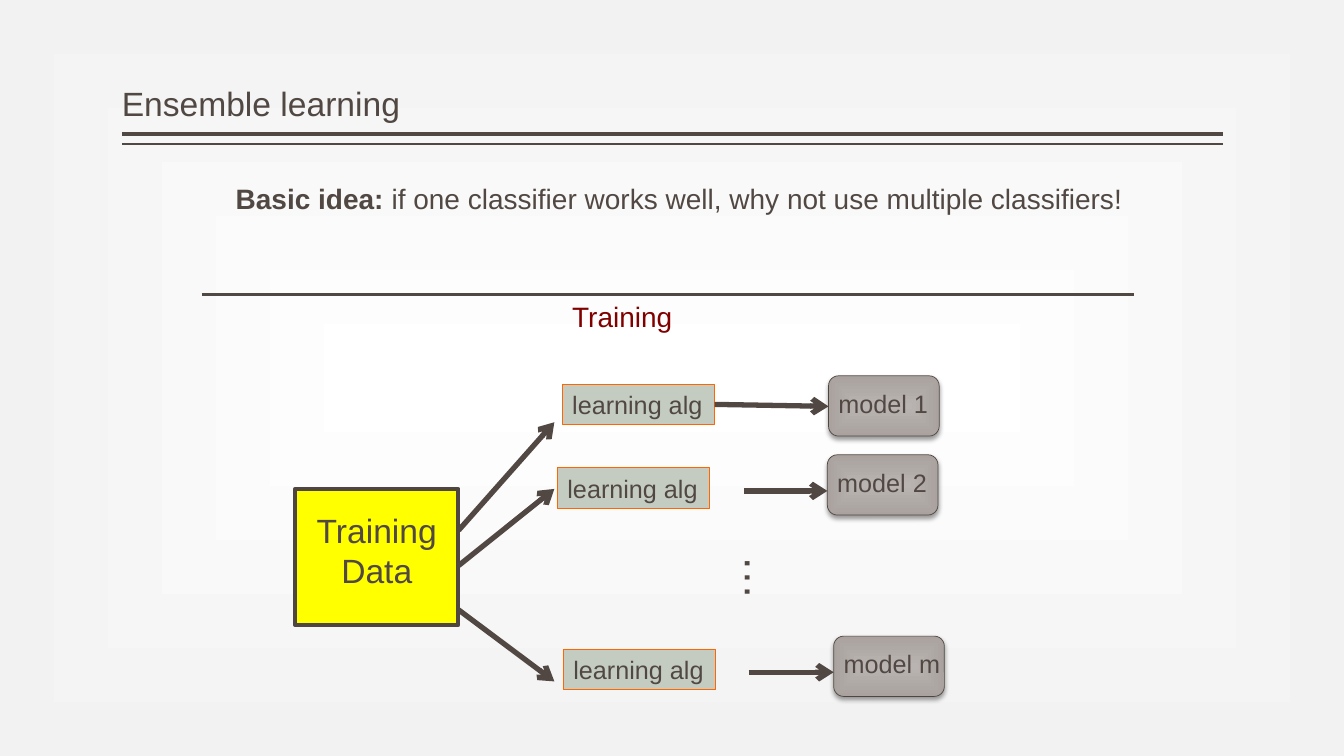
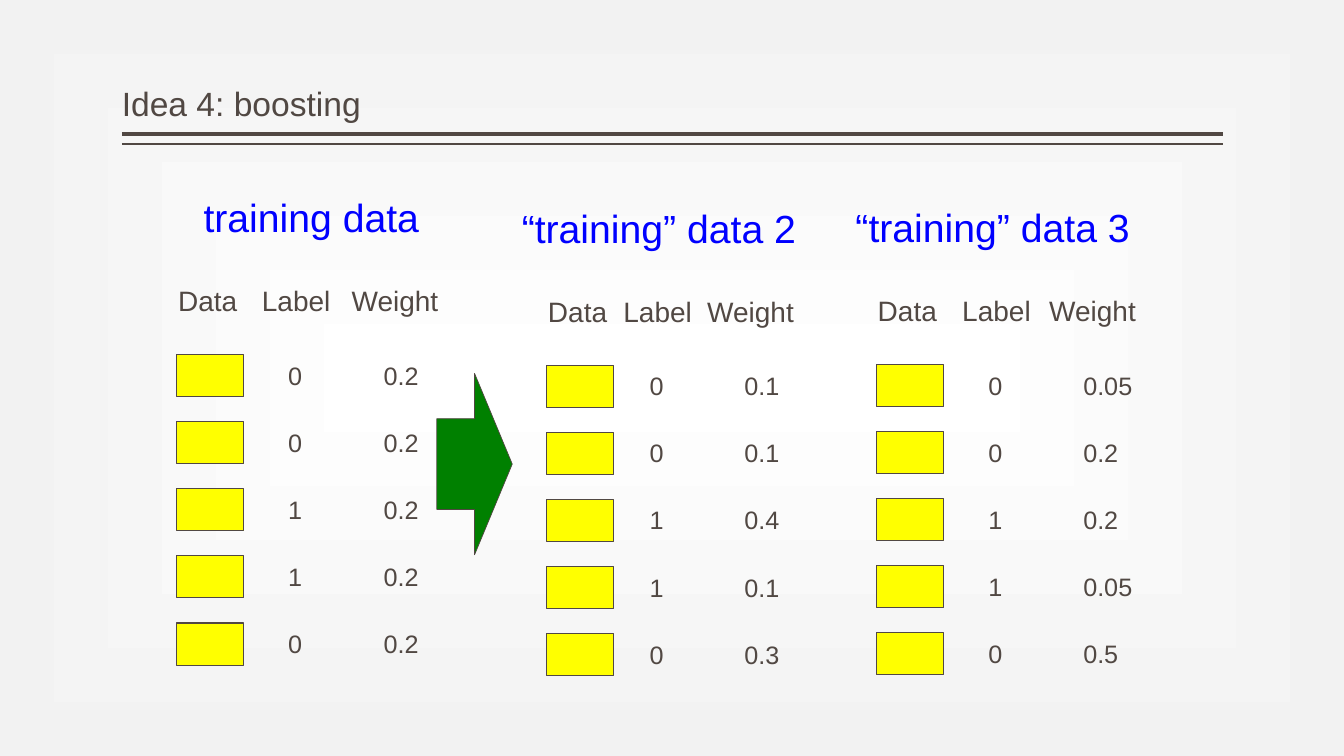
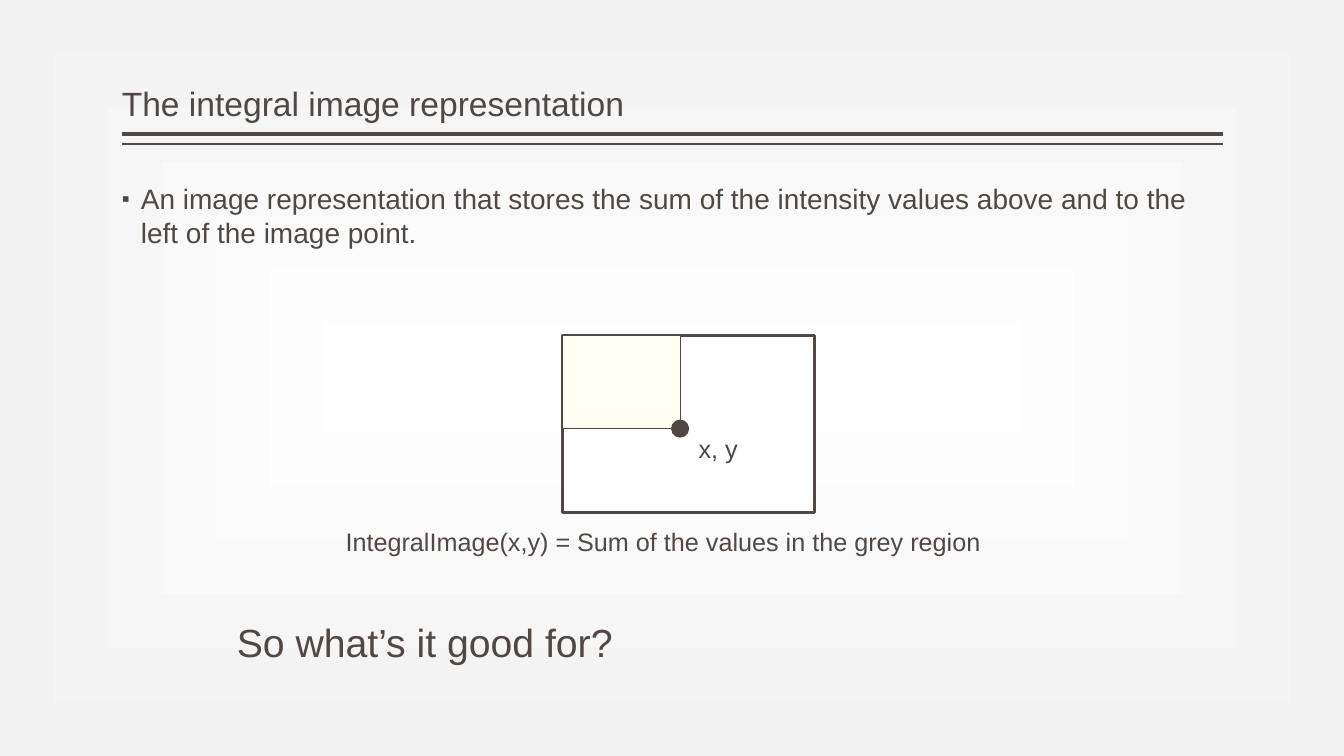
from dataclasses import dataclass
from lxml.etree import SubElement
from pptx import Presentation
from pptx.dml.color import RGBColor
from pptx.enum.shapes import MSO_CONNECTOR, MSO_SHAPE
from pptx.enum.text import MSO_ANCHOR, MSO_AUTO_SIZE, PP_ALIGN
from pptx.oxml.ns import qn
from pptx.util import Cm, Pt


@dataclass(frozen=True)
class Theme:
    font: str = "Arial"
    ink: str = "514843"
    outline: str = "504641"
    paper: str = "FFFFFF"
    paper_edge: str = "F2F2F2"
    yellow: str = "FFFF00"
    sage: str = "C4CCC1"
    orange: str = "FF6600"
    model_light: str = "B9B4B1"
    model_dark: str = "A9A29E"
    maroon: str = "800000"
    blue: str = "0000FF"
    green: str = "008000"
    cream: str = "FFFFF3"
    label: int = 18
    body: int = 20
    title: int = 24
    headline: int = 28
    ellipsis: int = 32


THEME = Theme()
MARGIN, CONTENT_WIDTH = 3.07, 27.74
TEXT_INSETS = (0.25, 0.13)
FLUSH_INSETS = (0, 0.13)


def rgb(value):
    return RGBColor.from_string(value)


def cm(*lengths):
    return [Cm(length) for length in lengths]


def add_bullet(paragraph, symbol, indent):
    properties = paragraph._p.get_or_add_pPr()
    properties.set("marL", str(Cm(indent)))
    properties.set("indent", str(-Cm(indent)))
    SubElement(properties, qn("a:buSzPct"), val="80000")
    SubElement(properties, qn("a:buFont"), typeface=THEME.font)
    SubElement(properties, qn("a:buChar"), char=symbol)


def write(shape, text, size=THEME.label, color=THEME.ink, lead="", wrap=False,
          align=PP_ALIGN.LEFT, anchor=MSO_ANCHOR.TOP, insets=TEXT_INSETS,
          top_inset=None, line_spacing=None, bullet=None):
    """Fill a shape with text, one paragraph a line, after an optional bold lead."""
    frame = shape.text_frame
    frame.word_wrap = wrap
    frame.auto_size = MSO_AUTO_SIZE.NONE if wrap else MSO_AUTO_SIZE.SHAPE_TO_FIT_TEXT
    frame.vertical_anchor = anchor
    side, edge = cm(*insets)
    frame.margin_left = frame.margin_right = side
    frame.margin_top = edge if top_inset is None else Cm(top_inset)
    frame.margin_bottom = edge
    for index, line in enumerate(text.split("\n")):
        paragraph = frame.add_paragraph() if index else frame.paragraphs[0]
        if bullet:
            add_bullet(paragraph, bullet, 0.48)
        paragraph.alignment = align
        if line_spacing:
            paragraph.line_spacing = line_spacing
        for words, bold in ((lead if index == 0 else "", True), (line, False)):
            if not words:
                continue
            run = paragraph.add_run()
            run.text = words
            run.font.name = THEME.font
            run.font.size = Pt(size)
            run.font.bold = bold
            run.font.color.rgb = rgb(color)
    return shape


def add_text(slide, box, text, **text_format):
    return write(slide.shapes.add_textbox(*cm(*box)), text, **text_format)


def add_block(slide, box, fill, line=THEME.ink, width=0.75, kind=MSO_SHAPE.RECTANGLE):
    block = slide.shapes.add_shape(kind, *cm(*box))
    block.shadow.inherit = False
    block.fill.solid()
    block.fill.fore_color.rgb = rgb(fill)
    block.line.color.rgb = rgb(line)
    block.line.width = Pt(width)
    return block


def add_line(slide, start, end, width, arrow=False):
    line = slide.shapes.add_connector(MSO_CONNECTOR.STRAIGHT, *cm(*start, *end))
    line.line.color.rgb = rgb(THEME.ink)
    line.line.width = Pt(width)
    if arrow:
        SubElement(line._element.spPr.find(qn("a:ln")), qn("a:tailEnd"), type="arrow")
    SubElement(line._element.spPr, qn("a:effectLst"))


def apply_rect_gradient(fill, element, inner, outer, focus, outer_alpha=None):
    """Blend from inner to outer in rectangles around the focus, in percent."""
    fill.gradient()
    for stop, color, position in zip(fill.gradient_stops, (inner, outer), (0, 1)):
        stop.color.rgb = rgb(color)
        stop.position = position
    gradient = element.find(".//" + qn("a:gradFill"))
    gradient.remove(gradient.find(qn("a:lin")))
    route = SubElement(gradient, qn("a:path"), path="rect")
    inset = str(focus * 1000)
    SubElement(route, qn("a:fillToRect"), l=inset, t=inset, r=inset, b=inset)
    if outer_alpha:
        outer_color = gradient.findall(".//" + qn("a:srgbClr"))[-1]
        SubElement(outer_color, qn("a:alpha"), val=str(outer_alpha * 1000))


def add_soft_shadow(shape):
    effects = shape._element.spPr.find(qn("a:effectLst"))
    shadow = SubElement(effects, qn("a:outerShdw"), blurRad=str(Pt(3.5)),
                        dist=str(Pt(2)), dir="5400000", rotWithShape="0")
    color = SubElement(shadow, qn("a:srgbClr"), val="000000")
    SubElement(color, qn("a:alpha"), val="38000")


def new_slide(deck, title):
    """Add a slide with the shared background, title and double rule."""
    slide = deck.slides.add_slide(deck.slide_layouts[6])
    apply_rect_gradient(slide.background.fill, slide._element,
                        THEME.paper, THEME.paper_edge, focus=5, outer_alpha=80)
    right = MARGIN + CONTENT_WIDTH
    for y, width in ((3.38, 3), (3.63, 1)):
        add_line(slide, (MARGIN, y), (right, y), width)
    add_text(slide, (MARGIN, 0.2, CONTENT_WIDTH, 3.05), title, size=THEME.title,
             wrap=True, anchor=MSO_ANCHOR.BOTTOM, insets=FLUSH_INSETS, line_spacing=0.9)
    return slide


def add_model(slide, left, top, name):
    width, height, name_width = 2.79, 1.52, 3.1
    block = add_block(slide, (left, top, width, height), THEME.model_light,
                      THEME.outline, 0.5, MSO_SHAPE.ROUNDED_RECTANGLE)
    apply_rect_gradient(block.fill, block._element,
                        THEME.model_light, THEME.model_dark, focus=50)
    add_soft_shadow(block)
    add_text(slide, (left, top + 0.18, name_width, 1.02), name, wrap=True)


@dataclass(frozen=True)
class Branch:
    """One learner; its points are relative to the diagram."""
    model_name: str
    data_exit: float
    data_arrow_end: float
    learner: tuple
    model: tuple
    model_arrow_start: tuple
    model_arrow_end: float


BRANCHES = (
    Branch("model 1", 5.94, 3.22, (9.09, 2.26), (15.8, 2.05), (12.93, 2.77), 2.82),
    Branch("model 2", 6.83, 4.9, (8.97, 4.37), (15.77, 4.04), (13.67, 4.95), 4.95),
    Branch("model m", 7.95, 9.75, (9.12, 8.94), (15.93, 8.61), (13.79, 9.52), 9.52),
)


def add_training_diagram(slide, left, top, width):
    def point(x, y):
        return left + x, top + y

    add_line(slide, point(0, 0), point(width, 0), 2.25)
    add_text(slide, (*point(9.09, 0), 3.07, 1.12), "Training",
             size=THEME.body, color=THEME.maroon)
    training_data = add_block(slide, (*point(2.36, 4.9), 4.11, 3.43),
                              THEME.yellow, THEME.outline, 3)
    write(training_data, "Training\nData", size=THEME.title, wrap=True,
          align=PP_ALIGN.CENTER, top_inset=0.53)
    for branch in BRANCHES:
        add_line(slide, point(6.48, branch.data_exit),
                 point(8.89, branch.data_arrow_end), 3.78, arrow=True)
        learner = add_block(slide, (*point(*branch.learner), 3.84, 1.02),
                            THEME.sage, THEME.orange)
        write(learner, "learning alg")
        add_model(slide, *point(*branch.model), branch.model_name)
        add_line(slide, point(*branch.model_arrow_start),
                 point(branch.model[0], branch.model_arrow_end), 3.78, arrow=True)
    more_learners = add_text(slide, (*point(13.31, 6.35), 1.65, 1.63), "…",
                             size=THEME.ellipsis)
    more_learners.rotation = 90


def build_ensemble_slide(deck):
    slide = new_slide(deck, "Ensemble learning")
    add_text(slide, (5.94, 4.45, 22.66, 2.97),
             "if one classifier works well, why not use multiple classifiers!",
             lead="Basic idea: ", size=THEME.body, wrap=True, insets=FLUSH_INSETS)
    add_training_diagram(slide, 5.08, 7.42, 23.5)


@dataclass(frozen=True)
class WeightedSet:
    """A weighted training set; horizontal offsets count from its left edge."""
    title: str
    left: float
    top: float
    title_offset: float
    title_width: float
    label_offset: float
    weight_offset: float
    value_offset: float
    weights: tuple


LABELS = ("0", "0", "1", "1", "0")
WEIGHTED_SETS = (
    WeightedSet("training data", 4.24, 4.75, 0.64, 6.02, 2.11, 4.37, 5.18,
                ("0.2", "0.2", "0.2", "0.2", "0.2")),
    WeightedSet("“training” data 2", 13.56, 5.02, -0.66, 7.52, 1.9, 4.01, 4.95,
                ("0.1", "0.1", "0.4", "0.1", "0.3")),
    WeightedSet("“training” data 3", 21.87, 5, -0.56, 7.52, 2.13, 4.32, 5.18,
                ("0.05", "0.2", "0.2", "0.05", "0.5")),
)


def add_weighted_set(slide, group):
    left, top = group.left, group.top
    add_text(slide, (left + group.title_offset, top, group.title_width, 1.45),
             group.title, size=THEME.headline, color=THEME.blue)
    headings = (("Data", 0, 2.01), ("Label", group.label_offset, 2.26),
                ("Weight", group.weight_offset, 2.72))
    for heading, offset, width in headings:
        add_text(slide, (left + offset, top + 2.27, width, 1.12), heading, size=THEME.body)
    for row, (label, weight) in enumerate(zip(LABELS, group.weights)):
        y = top + 4.19 + row * 1.69
        add_block(slide, (left + 0.21, y, 1.7, 1.06), THEME.yellow)
        add_text(slide, (left + group.label_offset + 0.66, y, 0.86, 1.02), label)
        weight_width = 1.75 if len(weight) > 3 else 1.4
        add_text(slide, (left + group.value_offset, y, weight_width, 1.02), weight)


def build_boosting_slide(deck):
    slide = new_slide(deck, "Idea 4: boosting")
    for group in WEIGHTED_SETS:
        add_weighted_set(slide, group)
    add_block(slide, (11.01, 9.41, 1.9, 4.57), THEME.green, THEME.outline, 0.5,
              MSO_SHAPE.RIGHT_ARROW)


def add_integral_figure(slide, left, top, width, height):
    corner_x, corner_y, dot = 2.97, 2.34, 0.43
    add_block(slide, (left, top, width, height), THEME.paper, width=2)
    add_block(slide, (left, top, corner_x, corner_y), THEME.cream)
    add_block(slide, (left + corner_x - dot / 2, top + corner_y - dot / 2, dot, dot),
              THEME.ink, kind=MSO_SHAPE.OVAL)
    add_text(slide, (left + corner_x + dot / 2, top + corner_y, 1.9, 1.02), "x, y", wrap=True)


def build_integral_slide(deck):
    slide = new_slide(deck, "The integral image representation")
    add_text(slide, (MARGIN, 4.45, CONTENT_WIDTH, 12.7),
             "An image representation that stores the sum of the intensity values "
             "above and to the left of the image point.",
             size=THEME.body, wrap=True, insets=FLUSH_INSETS, bullet="▪")
    add_integral_figure(slide, 14.17, 8.46, 6.35, 4.45)
    add_text(slide, (8.46, 13.13, 16.51, 1.8),
             "IntegralImage(x,y) = Sum of the values in the grey region", wrap=True)
    add_text(slide, (5.72, 15.45, 22.23, 1.45), "So what’s it good for?",
             size=THEME.headline, wrap=True)


def main():
    deck = Presentation()
    deck.slide_width, deck.slide_height = cm(33.87, 19.05)
    build_ensemble_slide(deck)
    build_boosting_slide(deck)
    build_integral_slide(deck)
    deck.save("out.pptx")


if __name__ == "__main__":
    main()
